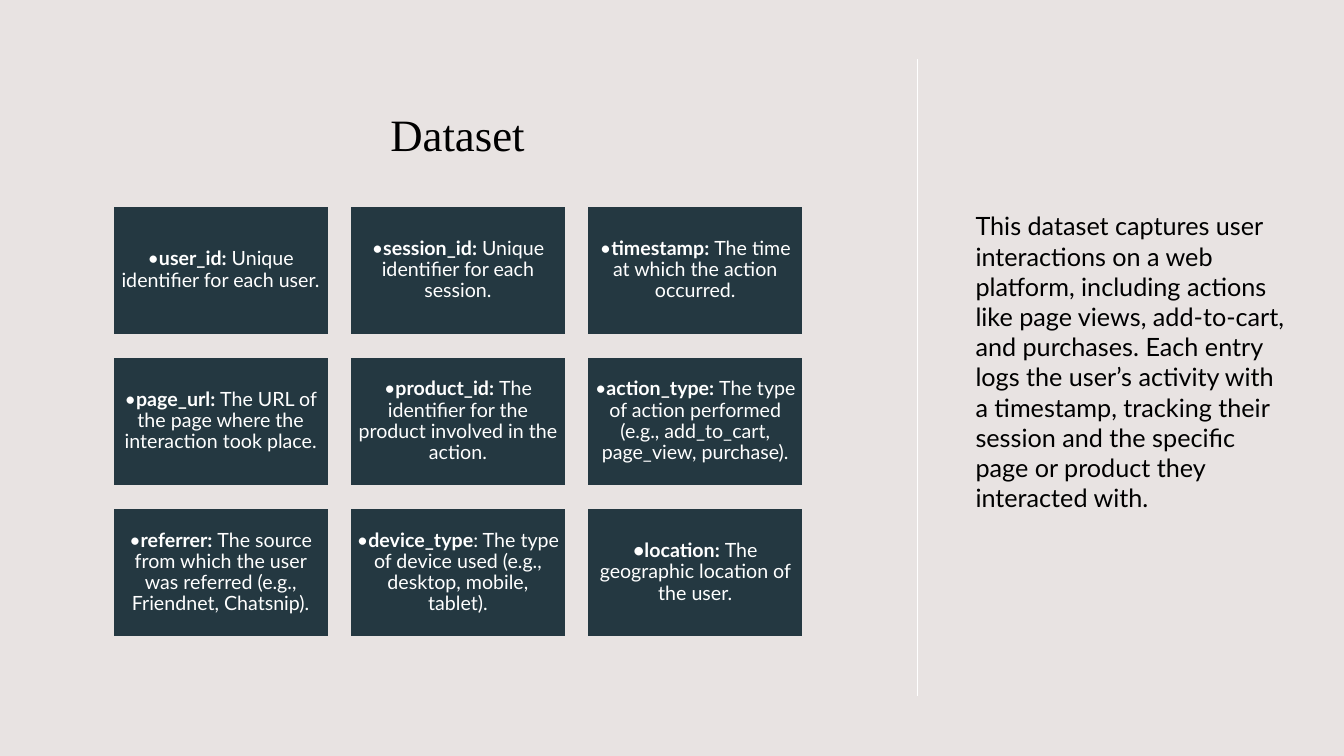
"""Build the Dataset slide: a grid of field cards beside a summary."""
from lxml import etree
from pptx import Presentation, util as u
from pptx.dml.color import RGBColor
from pptx.enum import shapes, text
from pptx.oxml.ns import qn

TITLE = "Dataset"
BODY = ("This dataset captures user interactions on a web platform, including actions like "
        "page views, add-to-cart, and purchases. Each entry logs the user’s activity with a "
        "timestamp, tracking their session and the specific page or product they interacted with.")
CARDS = [
    ("•", "user_id: ", "Unique identifier for each user."),
    ("•", "session_id: ", "Unique identifier for each session."),
    ("•", "timestamp: ", "The time at which the action occurred."),
    ("•", "page_url: ", "The URL of the page where the interaction took place."),
    ("•", "product_id: ", "The identifier for the product involved in the action."),
    ("•", "action_type: ", "The type of action performed (e.g., add_to_cart, page_view, purchase)."),
    ("•", "referrer: ", "The source from which the user was referred (e.g., Friendnet, Chatsnip)."),
    ("•", "device_type", ": The type of device used (e.g., desktop, mobile, tablet)."),
    ("", "•location: ", "The geographic location of the user."),
]
PAPER, SLATE, WHITE, BLACK = "E8E3E2", "243841", "FFFFFF", "000000"
COLS, LEFT, TOP, WIDE, HIGH = 3, 80.64, 146.88, 154.08, 92.16
STEP_X, STEP_Y = 169.5, 108
RULE_X, RULE_TOP, RULE_END = 655.2, 42.5, 497.5
CENTER = text.PP_ALIGN.CENTER
MIDDLE, BOTTOM = text.MSO_ANCHOR.MIDDLE, text.MSO_ANCHOR.BOTTOM
HEAD_FONT = {"name": "Times New Roman", "size": u.Pt(32)}
CARD_FONT = {"name": "Lato", "size": u.Pt(14)}
BODY_FONT = {"name": "Lato", "size": u.Pt(18)}
PAD = u.Pt(4.2)
CARD_FRAME = {"word_wrap": True, "vertical_anchor": MIDDLE, "margin_left": PAD,
              "margin_right": PAD, "margin_top": PAD, "margin_bottom": PAD}


def paint(part, hue):
    if hasattr(part, "solid"):
        part.solid()
        part = part.fore_color
    part.rgb = RGBColor.from_string(hue)


def apply(obj, vals):
    for key, val in vals.items():
        setattr(obj, key, val)


def write(shape, runs, font, hue, frame, para):
    apply(shape.text_frame, frame)
    line = shape.text_frame.paragraphs[0]
    apply(line, para)
    for words, bold in runs:
        if words:
            run = line.add_run()
            run.text = words
            apply(run.font, {**font, "bold": bold})
            paint(run.font.color, hue)


def box(slide, *place):
    return slide.shapes.add_textbox(*map(u.Pt, place))


def card(slide, num, parts):
    row, col = divmod(num, COLS)
    place = LEFT + col * STEP_X, TOP + row * STEP_Y, WIDE, HIGH
    rect = slide.shapes.add_shape(shapes.MSO_SHAPE.RECTANGLE, *map(u.Pt, place))
    rect.shadow.inherit = False
    paint(rect.fill, SLATE)
    paint(rect.line.fill, PAPER)
    rect.line.width = u.Pt(1.35)
    write(rect, zip(parts, (False, True, False)), CARD_FONT, WHITE, CARD_FRAME,
          {"alignment": CENTER, "line_spacing": 0.9})


def main():
    deck = Presentation()
    apply(deck, {"slide_width": u.Pt(960), "slide_height": u.Pt(540)})
    slide = deck.slides.add_slide(deck.slide_layouts[6])
    paint(slide.background.fill, PAPER)

    write(box(slide, 77.76, 30.96, 498.24, 87.84), [(TITLE, False)], HEAD_FONT, BLACK,
          {"word_wrap": True, "vertical_anchor": BOTTOM},
          {"alignment": CENTER, "line_spacing": 0.9})

    ends = map(u.Pt, (RULE_X, RULE_TOP, RULE_X, RULE_END))
    rule = slide.shapes.add_connector(shapes.MSO_CONNECTOR.STRAIGHT, *ends)
    paint(rule.line.fill, WHITE)
    rule.line.width = u.Pt(1)
    etree.SubElement(rule._element.spPr, qn("a:effectLst"))

    for num, parts in enumerate(CARDS):
        card(slide, num, parts)

    write(box(slide, 689.76, 146.88, 237.6, 246.96), [(BODY, False)], BODY_FONT, BLACK,
          {"word_wrap": True, "auto_size": text.MSO_AUTO_SIZE.SHAPE_TO_FIT_TEXT}, {})
    deck.save("out.pptx")


if __name__ == "__main__":
    main()
